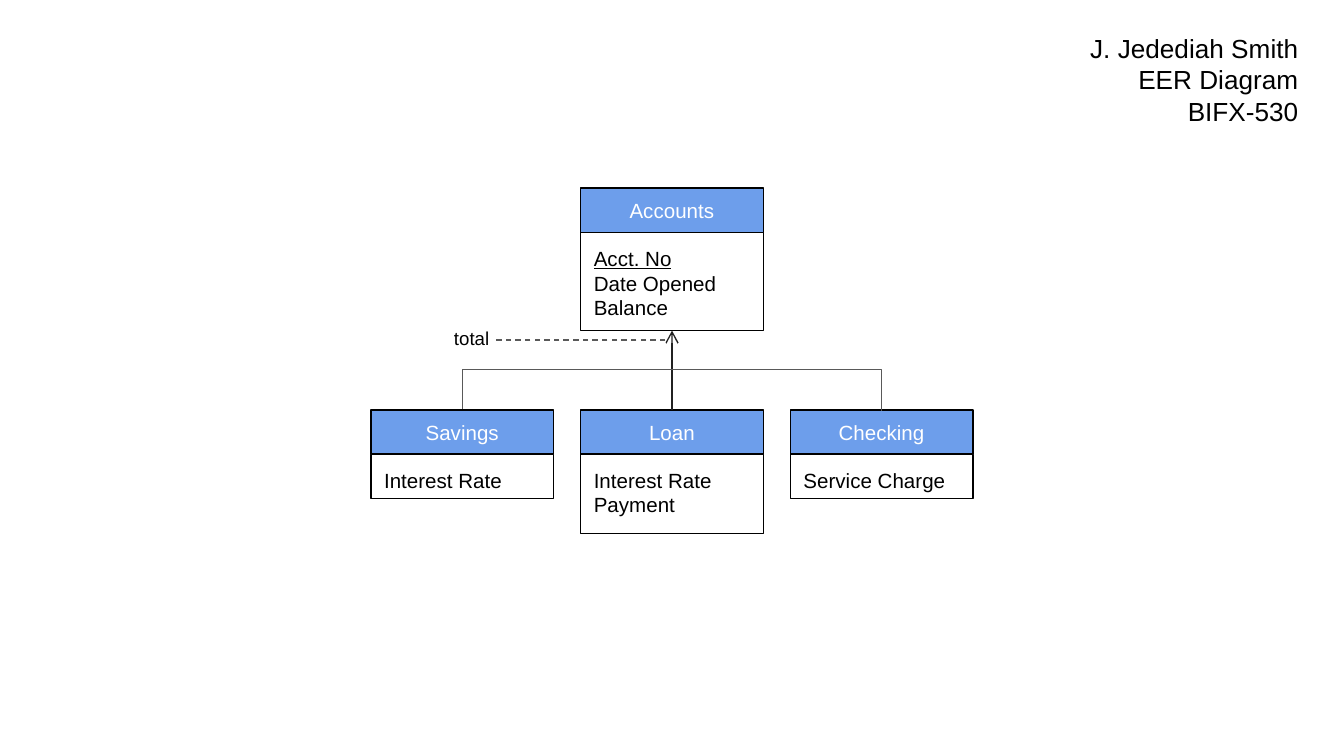
from dataclasses import dataclass

from lxml.etree import SubElement
from pptx import Presentation
from pptx.dml.color import RGBColor
from pptx.enum.dml import MSO_LINE
from pptx.enum.shapes import MSO_CONNECTOR, MSO_SHAPE
from pptx.enum.text import MSO_ANCHOR, MSO_AUTO_SIZE, PP_ALIGN
from pptx.oxml.ns import qn
from pptx.util import Inches, Pt

BOX_W, HEAD_H, GAP = 1.36, 0.33, 0.2
MIDDLE_X = 5 - BOX_W / 2
PITCH = BOX_W + GAP
CHILD_Y = 3.05


@dataclass
class Entity:
    """An entity box with a heading and its attributes."""
    name: str
    x: float
    y: float
    body_h: float
    attributes: list[str]
    key: str = ""


ENTITIES = [
    Entity("Accounts", MIDDLE_X, 1.4, 0.73, ["Acct. No", "Date Opened", "Balance"], "Acct. No"),
    Entity("Checking", MIDDLE_X + PITCH, CHILD_Y, HEAD_H, ["Service Charge"]),
    Entity("Savings", MIDDLE_X - PITCH, CHILD_Y, HEAD_H, ["Interest Rate"]),
    Entity("Loan", MIDDLE_X, CHILD_Y, 0.59, ["Interest Rate", "Payment"]),
]


def rgb(value: str) -> RGBColor:
    """Turn a hex string into a colour."""
    return RGBColor.from_string(value)


def write(tf, lines: list[str], size: float, color: str = "000000",
          align=PP_ALIGN.LEFT, key: str = "") -> None:
    """Write one paragraph per line and underline the key attribute."""
    for i, line in enumerate(lines):
        p = tf.add_paragraph() if i else tf.paragraphs[0]
        p.alignment = align
        r = p.add_run()
        r.text = line
        r.font.name, r.font.size = "Arial", Pt(size)
        r.font.color.rgb = rgb(color)
        if line == key:
            r.font.underline = True


def set_insets(tf, inset: float) -> None:
    """Give all four sides of a text frame the same inset."""
    tf.margin_left = tf.margin_right = Inches(inset)
    tf.margin_top = tf.margin_bottom = Inches(inset)


def add_box(s, x: float, y: float, h: float, fill: str, anchor):
    """Draw an outlined rectangle ready for text."""
    sp = s.shapes.add_shape(MSO_SHAPE.RECTANGLE, Inches(x), Inches(y), Inches(BOX_W), Inches(h))
    sp.shadow.inherit = False
    sp.fill.solid()
    sp.fill.fore_color.rgb = rgb(fill)
    sp.line.color.rgb = rgb("000000")
    sp.line.width = Pt(0.75)
    tf = sp.text_frame
    tf.word_wrap, tf.vertical_anchor = True, anchor
    set_insets(tf, 0.1)
    return sp


def add_entity(s, e: Entity):
    """Draw an entity and return its heading and body."""
    head = add_box(s, e.x, e.y, HEAD_H, "6D9EEB", MSO_ANCHOR.MIDDLE)
    write(head.text_frame, [e.name], 11, "FFFFFF", PP_ALIGN.CENTER)
    body = add_box(s, e.x, e.y + HEAD_H, e.body_h, "FFFFFF", MSO_ANCHOR.TOP)
    write(body.text_frame, e.attributes, 11, key=e.key)
    return head, body


def add_line(s, kind, x1: float, y1: float, x2: float, y2: float, color: str):
    """Draw a thin connector without a shadow."""
    c = s.shapes.add_connector(kind, Inches(x1), Inches(y1), Inches(x2), Inches(y2))
    c.line.color.rgb = rgb(color)
    c.line.width = Pt(0.75)
    SubElement(c._element.spPr, qn("a:effectLst"))
    return c


def add_bracket(s, x1: float, x2: float, y: float, rise: float) -> None:
    """Join two points at the same height with an elbow that rises above them."""
    mid, half, thin = (x1 + x2) / 2, (x2 - x1) / 2, 0.01
    c = add_line(s, MSO_CONNECTOR.ELBOW, mid + thin / 2, y - half, mid - thin / 2, y + half, "595959")
    sp_pr = c._element.spPr
    sp_pr.find(qn("a:xfrm")).set("rot", str(270 * 60000))
    guides = sp_pr.find(qn("a:prstGeom")).find(qn("a:avLst"))
    SubElement(guides, qn("a:gd"), name="adj1", fmla=f"val {round(-rise / thin * 100000)}")


def add_label(s, x: float, y: float, w: float, h: float, wrap: bool):
    """Add a text box and return its text frame."""
    tf = s.shapes.add_textbox(Inches(x), Inches(y), Inches(w), Inches(h)).text_frame
    tf.word_wrap, tf.auto_size = wrap, MSO_AUTO_SIZE.SHAPE_TO_FIT_TEXT
    return tf


def main() -> None:
    """Build the entity diagram slide."""
    prs = Presentation()
    prs.slide_width, prs.slide_height = Inches(10), Inches(10 * 9 / 16)
    s = prs.slides.add_slide(prs.slide_layouts[6])
    parts = {e.name: add_entity(s, e) for e in ENTITIES}

    arrow = add_line(s, MSO_CONNECTOR.STRAIGHT, 5, CHILD_Y, 5, 2.46, "212121")
    arrow.begin_connect(parts["Loan"][0], 0)
    arrow.end_connect(parts["Accounts"][1], 2)
    SubElement(arrow.line._get_or_add_ln(), qn("a:tailEnd"), type="arrow")

    dashes = add_line(s, MSO_CONNECTOR.STRAIGHT, 4.95, 2.53, 3.69, 2.53, "595959")
    dashes.line.dash_style = MSO_LINE.DASH
    total = add_label(s, 3.28, 2.35, 0.5, 0.37, True)
    set_insets(total, 0.1)
    write(total, ["total"], 10)

    add_bracket(s, 5 - PITCH, 5 + PITCH, CHILD_Y, 0.3)
    title = add_label(s, 7.99, 0.19, 1.77, 0.81, False)
    write(title, ["J. Jedediah Smith", "EER Diagram", "BIFX-530"], 14, align=PP_ALIGN.RIGHT)
    prs.save("out.pptx")


if __name__ == "__main__":
    main()
